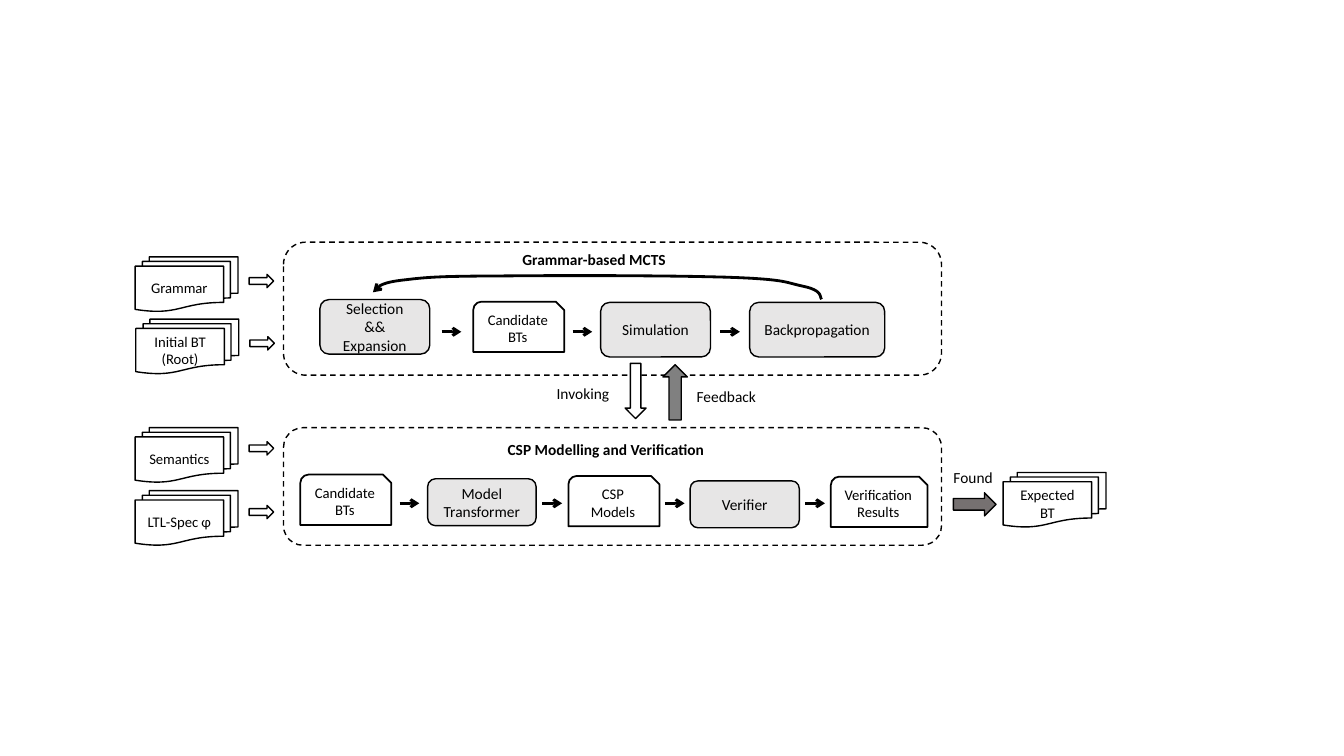
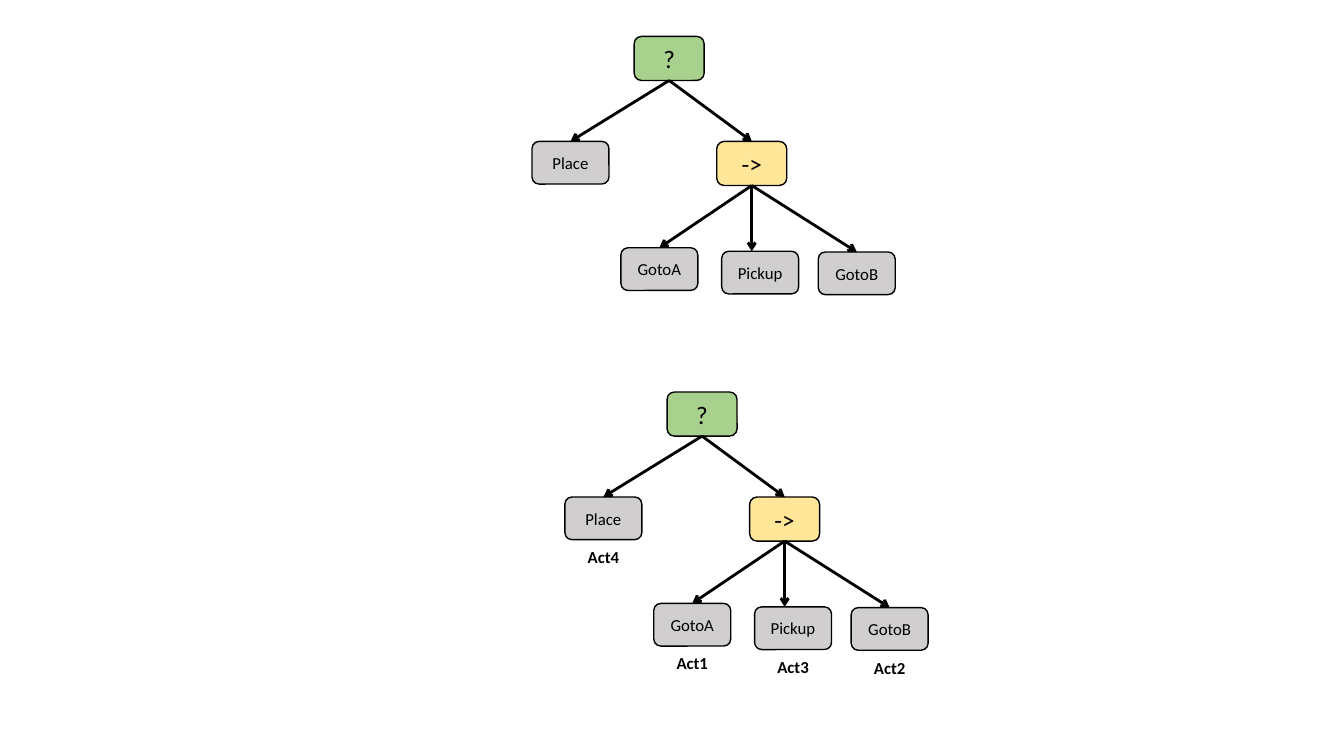
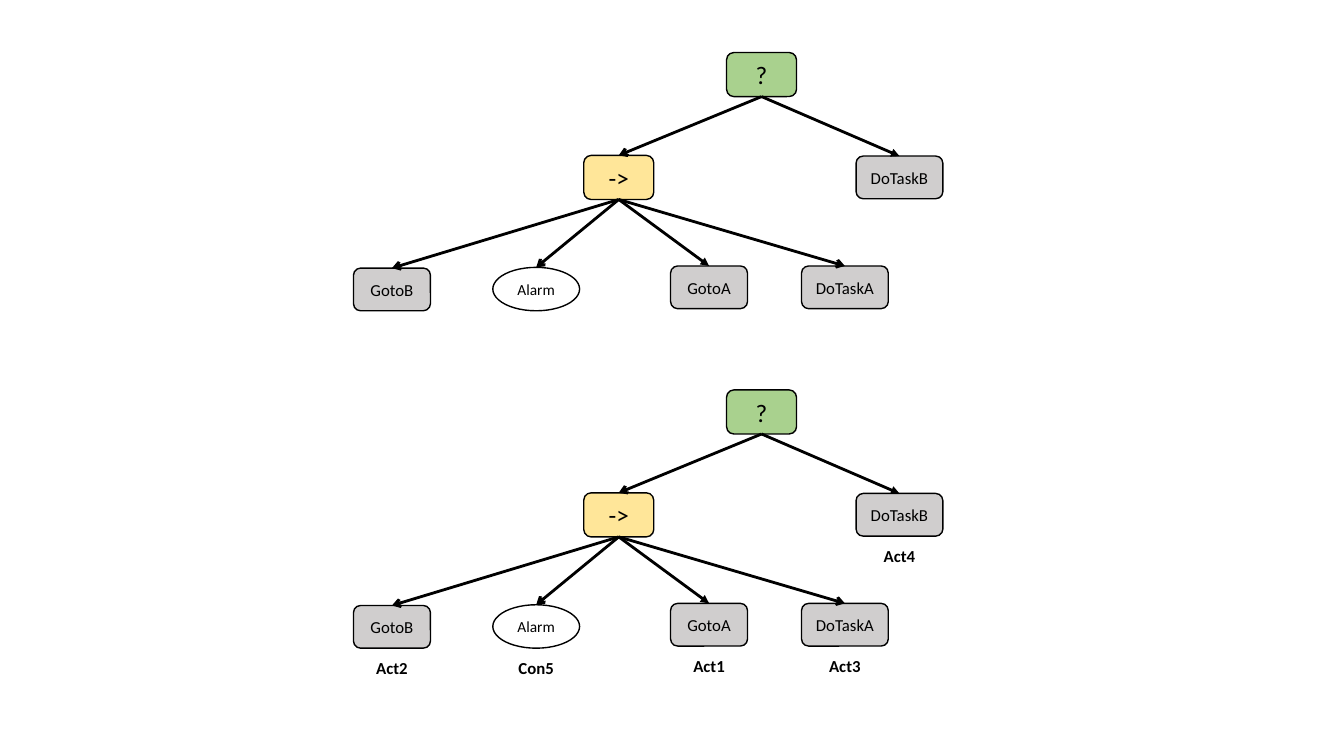
from dataclasses import dataclass

from lxml.etree import SubElement
from pptx import Presentation
from pptx.dml.color import RGBColor
from pptx.enum.dml import MSO_LINE
from pptx.enum.shapes import MSO_CONNECTOR, MSO_SHAPE
from pptx.enum.text import MSO_ANCHOR, PP_ALIGN
from pptx.oxml.ns import qn
from pptx.util import Pt


@dataclass(frozen=True)
class Theme:
    font: str = "Calibri"
    ink: str = "000000"
    paper: str = "FFFFFF"
    process: str = "E7E6E6"
    feedback: str = "808080"
    found: str = "767171"
    action: str = "D0CECE"
    selector: str = "A9D18E"
    sequence: str = "FFE699"
    small: float = 10.5
    body: float = 11
    node: float = 12
    symbol: float = 18
    outline: float = 1
    artifact_outline: float = 1.25
    arrow: float = 2


THEME = Theme()

PHASES = [
    {
        "frame": (202.5, 173, 470, 95),
        "heading": ("Grammar-based MCTS", 366, 175, 126.5),
        "axis": 237,
        "stages": [
            ("process", "Selection\n&&\nExpansion", 228.5, 214, 78.5, 39),
            ("artifact", "Candidate BTs", 338, 215.5, 65, 36),
            ("process", "Simulation", 429, 216, 78.5, 39),
            ("process", "Backpropagation", 535.5, 216, 96.5, 39),
        ],
    },
    {
        "frame": (202.5, 305.5, 470, 84),
        "heading": ("CSP Modelling and Verification", 355.5, 311, 160.5),
        "axis": 359.5,
        "stages": [
            ("artifact", "Candidate BTs", 214.5, 339, 65, 36),
            ("process", "Model Transformer", 305.5, 342, 77.5, 33.5),
            ("artifact", "CSP\nModels", 406, 340, 65, 36),
            ("process", "Verifier", 493, 343.5, 78, 33.5),
            ("artifact", "Verification\nResults", 593.5, 340.5, 69, 36),
        ],
    },
]
INPUTS = [
    ("Grammar", 96.5, 183.5, 196),
    ("Initial BT\n(Root)", 97, 228, 240.5),
    ("Semantics", 96.5, 305.5, 315.5),
    ("LTL-Spec φ", 96.5, 350.5, 361),
]
OUTPUT = ("Expected BT", 716.5, 337.5)
DOCUMENT_SIZE = (73.5, 39)
INPUT_ARROW_OFFSET, INPUT_ARROW_SIZE = 81.5, (17.5, 9.5)
STAGE_ARROW_LENGTH = 14
EXCHANGES = [
    (MSO_SHAPE.DOWN_ARROW, THEME.paper, 446.5, 259.5, 15, 39.5),
    (MSO_SHAPE.UP_ARROW, THEME.feedback, 473.5, 260.5, 17.5, 39.5),
    (MSO_SHAPE.RIGHT_ARROW, THEME.found, 681, 352, 30.5, 16.5),
]
CAPTIONS = [
    ("Invoking", 390.5, 270.5, 57),
    ("Feedback", 490.5, 273, 60.5),
    ("Found", 674, 331, 44.5),
]
LOOP_START = (266.4, 208.8)
LOOP_CURVES = [
    ((269.3, 206.6), (268.6, 202.3), (286.6, 200.2)),
    ((305.3, 198), (311, 197.3), (357.8, 197.1)),
    ((403.9, 196.7), (475.2, 196.7), (518.4, 198)),
    ((561.6, 199.4), (560.2, 201.6), (573.8, 204.5)),
    ((587.5, 207.4), (585.4, 211.7), (586.8, 213.8)),
]
CURVE_STEPS = 12

NODE_KINDS = {
    "selector": (MSO_SHAPE.ROUNDED_RECTANGLE, THEME.selector, THEME.symbol, 50, 31.5),
    "sequence": (MSO_SHAPE.ROUNDED_RECTANGLE, THEME.sequence, THEME.symbol, 50, 31.5),
    "action": (MSO_SHAPE.ROUNDED_RECTANGLE, THEME.action, THEME.node, 55, 30.5),
    "task": (MSO_SHAPE.ROUNDED_RECTANGLE, THEME.action, THEME.node, 62, 30.5),
    "condition": (MSO_SHAPE.OVAL, THEME.paper, THEME.body, 62, 31),
}
TREES = [
    {
        "nodes": [
            ("selector", "?", 453, 26),
            ("action", "Place", 380, 101),
            ("sequence", "->", 512, 101),
            ("action", "GotoA", 443.5, 177),
            ("action", "Pickup", 515.5, 179.5),
            ("action", "GotoB", 584.5, 180),
        ],
        "edges": [("?", "Place", "arrow"), ("?", "->", "arrow"), ("->", "GotoA", "arrow"),
                  ("->", "Pickup", "arrow"), ("->", "GotoB", "arrow")],
        "upright": {"Pickup"},
        "shift": (23.5, 254),
        "label_gap": 1.5,
        "labels": {"Place": "Act4", "GotoA": "Act1", "Pickup": "Act3", "GotoB": "Act2"},
    },
    {
        "nodes": [
            ("selector", "?", 519, 37.5),
            ("sequence", "->", 417, 111),
            ("task", "DoTaskB", 611.5, 111.5),
            ("action", "GotoB", 252.5, 191.5),
            ("condition", "Alarm", 352, 191),
            ("action", "GotoA", 479, 190),
            ("task", "DoTaskA", 572.5, 190),
        ],
        "edges": [("?", "->", "arrow"), ("?", "DoTaskB", "triangle"), ("->", "GotoB", "arrow"),
                  ("->", "Alarm", "arrow"), ("->", "GotoA", "triangle"), ("->", "DoTaskA", "arrow")],
        "upright": set(),
        "shift": (0, 241),
        "label_gap": 3.5,
        "labels": {"DoTaskB": "Act4", "GotoB": "Act2", "Alarm": "Con5",
                   "GotoA": "Act1", "DoTaskA": "Act3"},
    },
]
LABEL_SIZE = (47, 21.5)


def write(shape, text, size=THEME.body, bold=False, align=PP_ALIGN.CENTER, anchor=MSO_ANCHOR.MIDDLE):
    frame = shape.text_frame
    frame.word_wrap = True
    frame.vertical_anchor = anchor
    frame.text = text
    for paragraph in frame.paragraphs:
        paragraph.alignment = align
        font = paragraph.font
        font.name, font.size, font.bold = THEME.font, Pt(size), bold
        font.color.rgb = RGBColor.from_string(THEME.ink)


def ink_line(line, width):
    line.color.rgb = RGBColor.from_string(THEME.ink)
    line.width = Pt(width)


def add_arrowhead(line, end, kind):
    SubElement(line._get_or_add_ln(), qn(f"a:{end}"), type=kind)


def add_block(slide, preset, box, fill=THEME.paper, outline=THEME.outline):
    block = slide.shapes.add_shape(preset, *map(Pt, box))
    block.shadow.inherit = False
    if fill:
        block.fill.solid()
        block.fill.fore_color.rgb = RGBColor.from_string(fill)
    else:
        block.fill.background()
    ink_line(block.line, outline)
    return block


def add_caption(slide, text, box, **text_format):
    caption = slide.shapes.add_textbox(*map(Pt, box))
    write(caption, text, anchor=MSO_ANCHOR.TOP, **text_format)


def add_arrow(slide, start, end, kind="arrow"):
    arrow = slide.shapes.add_connector(MSO_CONNECTOR.STRAIGHT, *map(Pt, (*start, *end)))
    ink_line(arrow.line, THEME.arrow)
    add_arrowhead(arrow.line, "tailEnd", kind)
    SubElement(arrow._element.spPr, qn("a:effectLst"))
    return arrow


def add_document(slide, text, left, top):
    document = add_block(slide, MSO_SHAPE.FLOWCHART_MULTIDOCUMENT, (left, top, *DOCUMENT_SIZE))
    write(document, text, size=THEME.small)


def add_stage(slide, kind, text, *box):
    if kind == "process":
        stage = add_block(slide, MSO_SHAPE.ROUNDED_RECTANGLE, box, THEME.process)
        write(stage, text)
    else:
        stage = add_block(slide, MSO_SHAPE.SNIP_ROUND_RECTANGLE, box, outline=THEME.artifact_outline)
        write(stage, text, size=THEME.small)


def add_phase(slide, phase):
    frame = add_block(slide, MSO_SHAPE.ROUNDED_RECTANGLE, phase["frame"], fill=None)
    frame.line.dash_style = MSO_LINE.DASH
    heading, left, top, width = phase["heading"]
    add_caption(slide, heading, (left, top, width, 20), bold=True, align=PP_ALIGN.LEFT)
    stages = phase["stages"]
    for stage in stages:
        add_stage(slide, *stage)
    for (_, _, left, _, width, _), following in zip(stages, stages[1:]):
        middle = (left + width + following[2]) / 2
        half = STAGE_ARROW_LENGTH / 2
        add_arrow(slide, (middle - half, phase["axis"]), (middle + half, phase["axis"]))


def bezier_point(points, t):
    weights = ((1 - t) ** 3, 3 * t * (1 - t) ** 2, 3 * t**2 * (1 - t), t**3)
    return tuple(Pt(sum(w * p[axis] for w, p in zip(weights, points))) for axis in (0, 1))


def add_loop(slide):
    vertices, start = [], LOOP_START
    for curve in LOOP_CURVES:
        vertices += [bezier_point((start, *curve), step / CURVE_STEPS)
                     for step in range(1, CURVE_STEPS + 1)]
        start = curve[-1]
    builder = slide.shapes.build_freeform(*map(Pt, LOOP_START))
    builder.add_line_segments(vertices, close=False)
    loop = builder.convert_to_shape()
    loop.shadow.inherit = False
    loop.fill.background()
    ink_line(loop.line, THEME.arrow)
    add_arrowhead(loop.line, "headEnd", "arrow")


def draw_overview(slide):
    for phase in PHASES:
        add_phase(slide, phase)
    for text, left, top, arrow_top in INPUTS:
        add_document(slide, text, left, top)
        add_block(slide, MSO_SHAPE.RIGHT_ARROW,
                  (left + INPUT_ARROW_OFFSET, arrow_top, *INPUT_ARROW_SIZE))
    add_document(slide, *OUTPUT)
    for preset, fill, *box in EXCHANGES:
        add_block(slide, preset, box, fill)
    for text, left, top, width in CAPTIONS:
        add_caption(slide, text, (left, top, width, 20), align=PP_ALIGN.LEFT)
    add_loop(slide)


def draw_tree(slide, tree, shift=(0, 0), labels=None):
    nodes, boxes = {}, {}
    for kind, text, left, top in tree["nodes"]:
        preset, fill, size, width, height = NODE_KINDS[kind]
        boxes[text] = (left + shift[0], top + shift[1], width, height)
        nodes[text] = add_block(slide, preset, boxes[text], fill)
        write(nodes[text], text, size=size)
    for parent, child, head in tree["edges"]:
        left, top, width, height = boxes[parent]
        start = (left + width / 2, top + height)
        edge = add_arrow(slide, start, (start[0], boxes[child][1]), head)
        edge.begin_connect(nodes[parent], 2)
        if child not in tree["upright"]:
            edge.end_connect(nodes[child], 0)
    for text, label in (labels or {}).items():
        left, top, width, height = boxes[text]
        label_left = left + (width - LABEL_SIZE[0]) / 2
        add_caption(slide, label, (label_left, top + height + tree["label_gap"], *LABEL_SIZE),
                    size=THEME.node, bold=True)


def main():
    deck = Presentation()
    deck.slide_width, deck.slide_height = Pt(960), Pt(540)
    blank = deck.slide_layouts[6]
    draw_overview(deck.slides.add_slide(blank))
    for tree in TREES:
        slide = deck.slides.add_slide(blank)
        draw_tree(slide, tree)
        draw_tree(slide, tree, tree["shift"], tree["labels"])
    deck.save("out.pptx")


if __name__ == "__main__":
    main()
